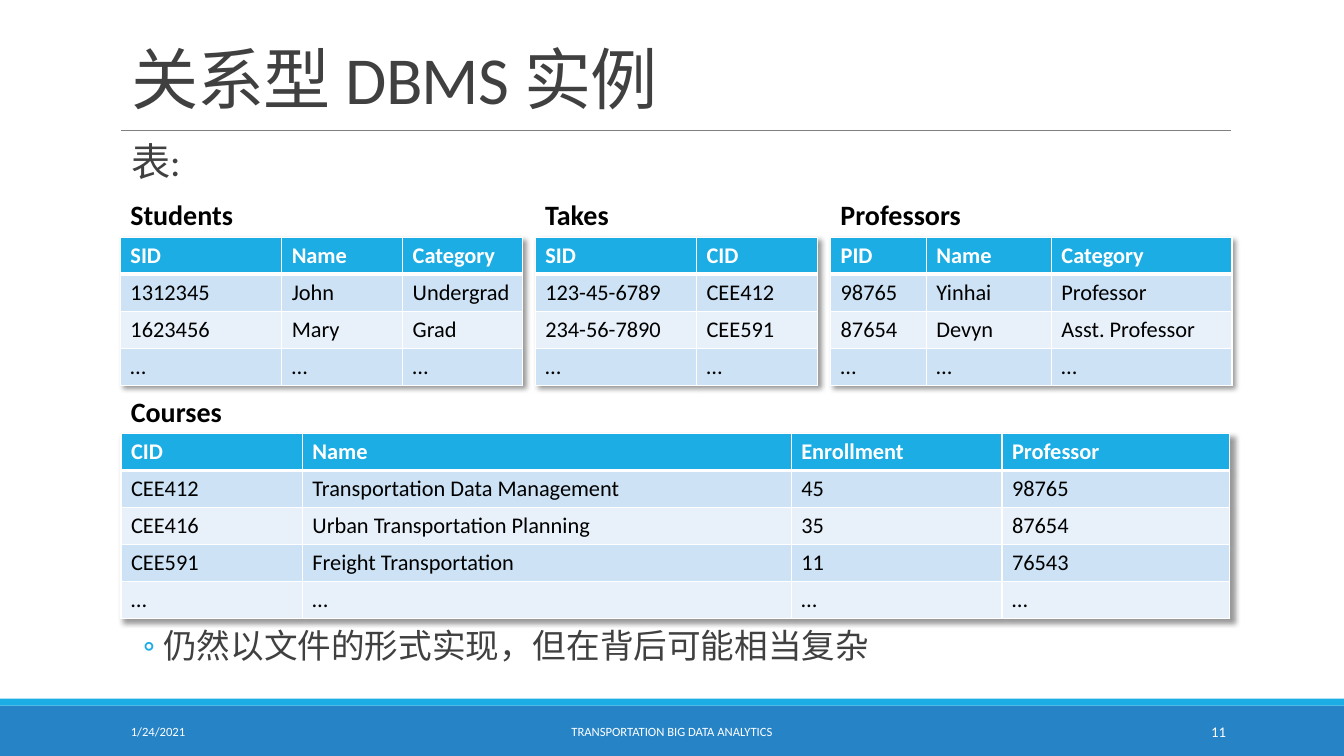
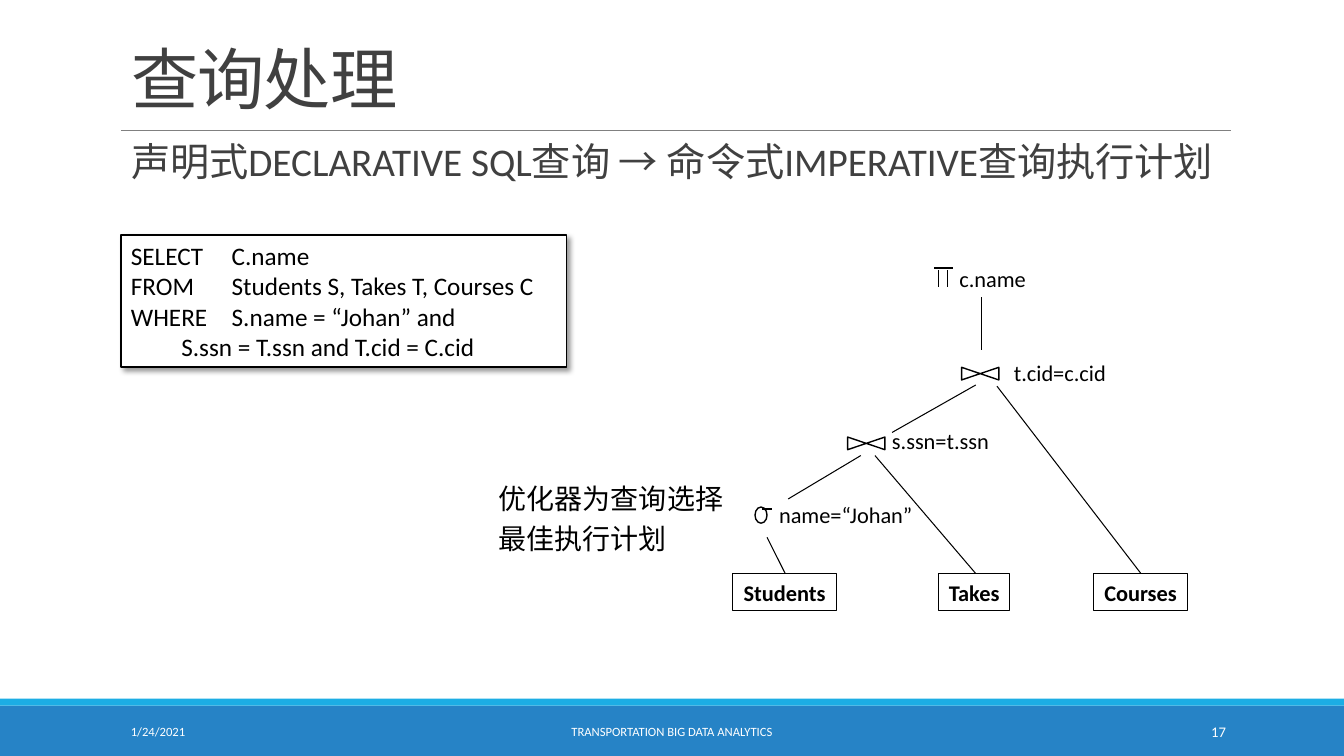
from lxml.etree import SubElement
from pptx import Presentation
from pptx.dml.color import RGBColor
from pptx.enum.lang import MSO_LANGUAGE_ID as Lang
from pptx.enum.shapes import MSO_CONNECTOR as Connector, MSO_SHAPE as Preset
from pptx.enum.text import MSO_ANCHOR as Anchor, MSO_AUTO_SIZE as AutoSize, PP_ALIGN as Align
from pptx.oxml.ns import qn
from pptx.util import Pt

BLUE = RGBColor(0x26, 0x83, 0xC6)
CYAN = RGBColor(0x1C, 0xAD, 0xE4)
PALE = RGBColor(0xE8, 0xF1, 0xFA)
LIGHT = RGBColor(0xCD, 0xE3, 0xF5)
GRAY = RGBColor(0x80, 0x80, 0x80)
DARK = RGBColor(0x40, 0x40, 0x40)
WHITE = RGBColor(0xFF, 0xFF, 0xFF)
BLACK = RGBColor(0, 0, 0)

WIDTH, HEIGHT = 960, 540
LEFT, CONTENT = 86.4, 792
ROW = 26.4
CAPTION = 31.7
CHINESE = {"language_id": Lang.SIMPLIFIED_CHINESE}


def points(*values):
    """Turn numbers into point lengths."""
    return [Pt(value) for value in values]


def set_values(target, values):
    """Set every named attribute on the target."""
    for name, value in values.items():
        setattr(target, name, value)


def child(parent, tag, **attributes):
    """Append an element of the drawing namespace."""
    return SubElement(parent, qn(f"a:{tag}"), attributes)


def cast_shadow(effects):
    """Add a soft shadow towards the lower right."""
    shadow = child(effects, "outerShdw", blurRad=str(Pt(4)), dist=str(Pt(3)),
                   dir="2700000", algn="tl", rotWithShape="0")
    child(child(shadow, "srgbClr", val=str(BLACK)), "alpha", val="40000")


class Deck:
    """Hold the style and the current slide."""

    def __init__(self):
        self.show = Presentation()
        set_values(self.show, {"slide_width": Pt(WIDTH), "slide_height": Pt(HEIGHT)})

    def start(self, title, lead, number):
        """Open a slide with its title, lead line, bands and footer."""
        self.slide = self.show.slides.add_slide(self.show.slide_layouts[1])
        self.shapes = self.slide.shapes
        self.rect(0, 504, WIDTH, 36, BLUE)
        self.rect(0, 499, WIDTH, 5, CYAN)
        self.line((LEFT, 93), (879, 93), GRAY, 0.5)
        heading, self.body = self.slide.placeholders
        self.place(heading, 9.4, 78.5, Anchor.BOTTOM)
        self.add_text(heading.text_frame.paragraphs[0], title, 48, DARK,
                      {"alignment": Align.LEFT, "line_spacing": 0.85}, CHINESE)
        heading.text_frame.paragraphs[0].runs[0].font._element.set("spc", "-50")
        self.place(self.body, 97.9, 398.2, Anchor.TOP)
        set_values(self.body.text_frame, {"margin_left": 0, "margin_right": 0})
        self.bullet(self.body.text_frame.paragraphs[0], lead, 28, 12, 2, 7.2)
        footer = [(LEFT, 194.4, "1/24/2021", 9, Align.LEFT),
                  (290.2, 379.4, "TRANSPORTATION BIG DATA ANALYTICS", 9, Align.CENTER),
                  (779.8, 103, number, 10.5, Align.RIGHT)]
        for left, width, text, size, align in footer:
            self.label(text, left, 508.3, width, 28.8, size, WHITE,
                       {"alignment": align}, anchor=Anchor.MIDDLE)

    def place(self, holder, top, height, anchor):
        """Move a placeholder into the content column."""
        left, top, width, height = points(LEFT, top, CONTENT, height)
        set_values(holder, {"left": left, "top": top, "width": width, "height": height})
        set_values(holder.text_frame, {"auto_size": AutoSize.NONE, "word_wrap": True,
                                       "vertical_anchor": anchor})

    def add_text(self, paragraph, text, size, color, layout=None, font=None):
        """Add one formatted run to a paragraph."""
        run = paragraph.add_run()
        run.text = text
        set_values(paragraph, layout or {})
        set_values(run.font, {"name": "Calibri", "size": Pt(size), "bold": False,
                              **(font or {})})
        run.font.color.rgb = color

    def bullet(self, paragraph, text, size, before, after, margin, hanging=0, mark=None):
        """Add a list line with an optional bullet mark."""
        self.add_text(paragraph, text, size, DARK,
                      {"line_spacing": 0.9, "space_before": Pt(before),
                       "space_after": Pt(after), "alignment": Align.LEFT}, CHINESE)
        properties = paragraph._element.get_or_add_pPr()
        properties.set("marL", str(Pt(margin)))
        properties.set("indent", str(-Pt(hanging)))
        if mark:
            child(child(properties, "buClr"), "srgbClr", val=str(CYAN))
            child(properties, "buFont", typeface="Calibri")
            child(properties, "buChar", char=mark)
        else:
            child(properties, "buNone")

    def label(self, text, left, top, width, height, size, color=BLACK,
              layout=None, font=None, anchor=Anchor.TOP):
        """Add free text."""
        frame = self.shapes.add_textbox(*points(left, top, width, height)).text_frame
        set_values(frame, {"word_wrap": True, "vertical_anchor": anchor})
        self.add_text(frame.paragraphs[0], text, size, color, layout, font)

    def finish(self, shape, fill, line, weight):
        """Set the fill and outline and drop the default shadow."""
        shape.shadow.inherit = False
        if fill is None:
            shape.fill.background()
        else:
            shape.fill.solid()
            shape.fill.fore_color.rgb = fill
        if line is None:
            shape.line.fill.background()
        else:
            shape.line.color.rgb = line
            shape.line.width = Pt(weight)
        return shape

    def rect(self, left, top, width, height, fill=None, line=None, weight=0.75,
             preset=Preset.RECTANGLE):
        """Add a preset shape, a rectangle by default."""
        shape = self.shapes.add_shape(preset, *points(left, top, width, height))
        return self.finish(shape, fill, line, weight)

    def line(self, start, end, color=BLACK, weight=0.75):
        """Draw a straight line."""
        line = self.shapes.add_connector(Connector.STRAIGHT, *points(*start, *end))
        line.line.color.rgb = color
        line.line.width = Pt(weight)
        child(line._element.spPr, "effectLst")

    def bowtie(self, left, top, width=26.6, height=9):
        """Draw the join symbol."""
        right, bottom = left + width, top + height
        builder = self.shapes.build_freeform(*points(left, top), scale=1.0)
        corners = [(right, bottom), (right, top), (left, bottom)]
        builder.add_line_segments([points(*corner) for corner in corners], close=True)
        self.finish(builder.convert_to_shape(), None, BLACK, 1)

    def relation(self, name, left, top, widths, rows):
        """Add a captioned table with a header row and shaded bands."""
        self.label(name, left, top - CAPTION, 180, CAPTION, 20, font={"bold": True})
        table = self.shapes.add_table(
            len(rows), len(widths), *points(left, top, sum(widths), ROW * len(rows))).table
        table.horz_banding = False
        for column, width in zip(table.columns, widths):
            column.width = Pt(width)
        effects = child(table._tbl.tblPr, "effectLst")
        table._tbl.tblPr.insert(0, effects)
        cast_shadow(effects)
        for r, values in enumerate(rows):
            table.rows[r].height = Pt(ROW)
            for c, value in enumerate(values):
                self.cell(table.cell(r, c), value, r)

    def cell(self, cell, value, row):
        """Fill one table cell with text, colour and white borders."""
        header = row == 0
        self.add_text(cell.text_frame.paragraphs[0], value, 16, WHITE if header else BLACK,
                      font={"bold": header})
        cell.fill.solid()
        cell.fill.fore_color.rgb = CYAN if header else (PALE, LIGHT)[row % 2]
        properties = cell._tc.get_or_add_tcPr()
        weights = {"lnL": 1, "lnR": 1, "lnT": 3 if row == 1 else 1, "lnB": 3 if header else 1}
        for order, (side, weight) in enumerate(weights.items()):
            border = child(properties, side, w=str(Pt(weight)))
            child(child(border, "solidFill"), "srgbClr", val=str(WHITE))
            properties.insert(order, border)

    def query(self, clauses, left, top, width, height):
        """Add a shadowed box of tabbed query clauses."""
        box = self.rect(left, top, width, height, WHITE, BLACK, 1)
        cast_shadow(box._element.spPr.find(qn("a:effectLst")))
        frame = box.text_frame
        for i, clause in enumerate(clauses):
            paragraph = frame.add_paragraph() if i else frame.paragraphs[0]
            self.add_text(paragraph, "\t".join(clause), 18, BLACK, {"alignment": Align.LEFT})

    def leaf(self, name, left, width):
        """Add a boxed base relation of the plan."""
        frame = self.rect(left, 409.7, width, 26.6, line=BLACK).text_frame
        frame.word_wrap = False
        self.add_text(frame.paragraphs[0], name, 16, BLACK,
                      {"alignment": Align.CENTER}, {"bold": True})


def tables_slide(deck):
    """Build the slide of example relations."""
    deck.start("关系型 DBMS 实例", "表:", "11")
    deck.bullet(deck.body.text_frame.add_paragraph(), "仍然以文件的形式实现，但在背后可能相当复杂",
                24, 316, 4, 30.2, 14.4, "◦")
    relations = [
        ("Students", 86, 169.5, [115.2, 86.4, 85.7],
         [("SID", "Name", "Category"), ("1312345", "John", "Undergrad"),
          ("1623456", "Mary", "Grad")]),
        ("Takes", 382.3, 169.5, [115.2, 86.4],
         [("SID", "CID"), ("123-45-6789", "CEE412"), ("234-56-7890", "CEE591")]),
        ("Professors", 593.3, 169.5, [68.4, 89.3, 129],
         [("PID", "Name", "Category"), ("98765", "Yinhai", "Professor"),
          ("87654", "Devyn", "Asst. Professor")]),
        ("Courses", LEFT, 309.6, [129.6, 349.2, 150.5, 162.7],
         [("CID", "Name", "Enrollment", "Professor"),
          ("CEE412", "Transportation Data Management", "45", "98765"),
          ("CEE416", "Urban Transportation Planning", "35", "87654"),
          ("CEE591", "Freight Transportation", "11", "76543")]),
    ]
    for name, left, top, widths, rows in relations:
        deck.relation(name, left, top, widths, rows + [["…"] * len(widths)])


def plan_slide(deck):
    """Build the slide of the query and its plan tree."""
    deck.start("查询处理", "声明式DECLARATIVE SQL查询 → 命令式IMPERATIVE查询执行计划", "17")
    deck.query([("SELECT", "C.name"), ("FROM", "Students S, Takes T, Courses C"),
                ("WHERE", "S.name = “Johan” and"), ("", "S.ssn = T.ssn and T.cid = C.cid")],
               LEFT, 167.8, 318.2, 94.3)
    for name, left, width in [("Students", 523.4, 74.2), ("Takes", 670.3, 51.1),
                              ("Courses", 781.2, 67)]:
        deck.leaf(name, left, width)
    for condition, left, top in [("c.name", 678.2, 185.8), ("t.cid=c.cid", 717.1, 252.7),
                                 ("s.ssn=t.ssn", 630, 301.7), ("name=“Johan”", 549.4, 354.2)]:
        deck.label(condition, left, top, 115, 26.6, 16)
    for join in [(686.9, 262.4), (605.5, 312.2)]:
        deck.bowtie(*join)
    deck.rect(539.3, 362.2, 8.6, 11.5, line=BLACK, weight=1, preset=Preset.OVAL)
    sigma_bar = [((544.3, 363.6), (551.5, 363.6))]
    pi_strokes = [((667.4, 191.5), (680.4, 191.5)), ((670.3, 193), (670.3, 205.2)),
                  ((676.8, 193), (676.8, 205.2))]
    root_edge = [((701.3, 212.4), (701.3, 249.8))]
    for start, end in sigma_bar + pi_strokes + root_edge:
        deck.line(start, end, weight=1)
    tree_edges = [((560.9, 409.7), (547.9, 383.8)), ((563, 356.4), (614.9, 325.4)),
                  ((697, 409.7), (625, 325.4)), ((637.2, 308.9), (697, 275)),
                  ((815, 409.7), (712.1, 275.8))]
    for start, end in tree_edges:
        deck.line(start, end)
    deck.label("优化器为查询选择最佳执行计划", 349.2, 335.5, 180, 63.4, 20,
               layout={"line_spacing": 1.2, "space_before": Pt(4)}, font=CHINESE)


def main():
    """Build and save the deck."""
    deck = Deck()
    tables_slide(deck)
    plan_slide(deck)
    deck.show.save("out.pptx")


if __name__ == "__main__":
    main()
